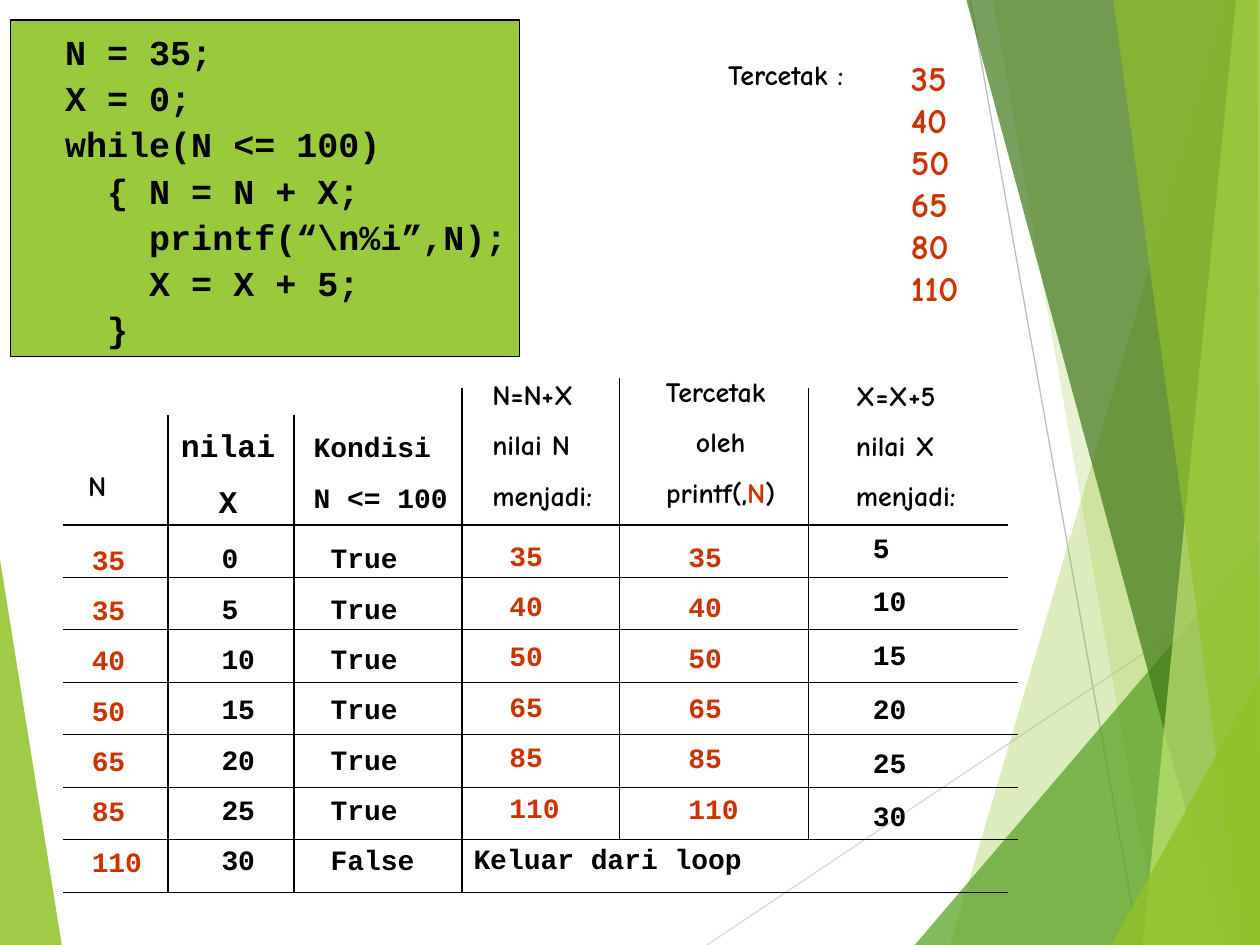
from typing import NamedTuple

from lxml import etree
from pptx import Presentation
from pptx.dml.color import RGBColor
from pptx.enum.shapes import MSO_CONNECTOR, MSO_SHAPE
from pptx.enum.text import MSO_ANCHOR, MSO_AUTO_SIZE, PP_ALIGN
from pptx.oxml.ns import qn
from pptx.util import Inches, Pt

LEFT, CENTER = PP_ALIGN.LEFT, PP_ALIGN.CENTER
TOP = MSO_ANCHOR.TOP
FIT_SHAPE = MSO_AUTO_SIZE.SHAPE_TO_FIT_TEXT
STRAIGHT = MSO_CONNECTOR.STRAIGHT
RECTANGLE = MSO_SHAPE.RECTANGLE

# The slide is a grid of 100 columns by 75 rows, each cell a square.
COLUMNS, ROWS = 100, 75
CELL = Inches(10) // COLUMNS

MONO, HAND = "Courier New", "Comic Neue"
COLORS = {
    "black": "000000",
    "red": "CC3300",
    "code": "99CA3C",
    "lime": "90C226",
    "green": "54A021",
    "forest": "3F7819",
    "pale": "C0E474",
    "gray": "BFBFBF",
    "silver": "D9D9D9",
}


class Facet(NamedTuple):
    color: str
    opacity: int
    points: list[tuple[float, float]]


class Rule(NamedTuple):
    start: tuple[float, float]
    end: tuple[float, float]
    color: str = "black"


class Box(NamedTuple):
    left: float
    top: float
    width: float
    height: float


class TraceColumn(NamedTuple):
    box: Box
    values: list[str]
    color: str = "black"
    spacing: float = 1.5


LEFT_FACET = Facet("lime", 85, [(0, 44.4), (4.9, 75), (0, 75)])
RIGHT_FACETS = [
    Facet("lime", 30, [(97.5, 0), (75.4, 75), (100, 75), (100, 0)]),
    Facet("lime", 20, [(78.8, 0), (92, 75), (100, 75), (100, 0)]),
    Facet("green", 72, [(72.6, 75), (100, 42.9), (100, 75)]),
    Facet("forest", 70, [(76.7, 0), (97, 75), (100, 75), (100, 0)]),
    Facet("pale", 70, [(98.1, 0), (90.7, 75), (100, 75), (100, 0)]),
    Facet("lime", 65, [(88.35, 0), (98.6, 75), (100, 75), (99.8, 0)]),
    Facet("lime", 80, [(88.2, 75), (100, 53.7), (100, 75)]),
]
BACKDROP_RULES = [
    Rule((56.1, 75), (100, 45.7), "silver"),
    Rule((77, 0), (90.4, 75), "gray"),
]

TABLE_LEFT, TABLE_TOP, ROW_PITCH = 5, 41.66, 4.165
TABLE_BOTTOM = TABLE_TOP + 7 * ROW_PITCH
LAST_SPLIT = TABLE_TOP + 6 * ROW_PITCH
ROW_ENDS = [80, 80, 80.83, 80.83, 80.83, 80.83, 80.83, 80]
COLUMN_RULES = [  # x, top, bottom
    (13.33, 32.92, TABLE_BOTTOM),
    (23.33, 32.92, TABLE_BOTTOM),
    (36.66, 30.83, TABLE_BOTTOM),
    (49.16, 30, LAST_SPLIT),
    (64.16, 30.83, LAST_SPLIT),
]

CODE = [
    "  N = 35;",
    "  X = 0;",
    "  while(N <= 100)",
    "    { N = N + X;",
    "      printf(“\\n%i”,N);",
    "      X = X + 5;",
    "    }",
]
SUMS = ["35", "40", "50", "65", "85", "110"]
STEPS = ["5", "10", "15", "20", "25", "30"]
TRACE = [
    TraceColumn(Box(6.3, 41.2, 6.1, 29), ["35", *SUMS], "red"),
    TraceColumn(Box(16.6, 41.1, 4.8, 29), ["0", *STEPS]),
    TraceColumn(Box(25.25, 41.1, 8.8, 29), ["True"] * 6 + ["False"]),
    TraceColumn(Box(39.45, 40.9, 6.1, 25), SUMS, "red"),
    TraceColumn(Box(53.65, 41, 6.1, 25), SUMS, "red"),
    TraceColumn(Box(68.3, 40, 4.8, 26.6), STEPS, spacing=1.6),
]


def cells(*counts: float) -> list[int]:
    """Grid counts as EMU lengths."""
    return [round(count * CELL) for count in counts]


def rgb(name: str) -> RGBColor:
    return RGBColor.from_string(COLORS[name])


def draw_facet(slide, facet: Facet) -> None:
    start, *others = [tuple(cells(*point)) for point in facet.points]
    builder = slide.shapes.build_freeform(*start)
    builder.add_line_segments(others, close=True)
    shape = builder.convert_to_shape()
    shape.shadow.inherit = False
    shape.line.fill.background()
    shape.fill.solid()
    shape.fill.fore_color.rgb = rgb(facet.color)
    color = shape._element.spPr.find(f".//{qn('a:srgbClr')}")
    etree.SubElement(color, qn("a:alpha"), val=str(facet.opacity * 1000))


def draw_rule(slide, rule: Rule) -> None:
    line = slide.shapes.add_connector(STRAIGHT, *cells(*rule.start, *rule.end))
    line.line.color.rgb = rgb(rule.color)
    line.line.width = Pt(0.75)
    etree.SubElement(line._element.spPr, qn("a:effectLst"))


def write(slide, box: Box, lines: list, *, font: str = MONO, size: int = 16,
          color: str = "black", spacing: float = 1.0, align=LEFT, fill: str = "") -> None:
    """One paragraph per line; a line is a string or a list of (text, color)."""
    place = cells(*box)
    if fill:
        shape = slide.shapes.add_shape(RECTANGLE, *place)
        shape.shadow.inherit = False
        shape.fill.solid()
        shape.fill.fore_color.rgb = rgb(fill)
        shape.line.color.rgb = rgb("black")
        shape.line.width = Pt(0.75)
    else:
        shape = slide.shapes.add_textbox(*place)
    frame = shape.text_frame
    frame.word_wrap = False
    frame.auto_size = FIT_SHAPE
    frame.vertical_anchor = TOP
    for index, line in enumerate(lines):
        paragraph = frame.add_paragraph() if index else frame.paragraphs[0]
        paragraph.alignment = align
        paragraph.line_spacing = spacing
        for text, tint in [(line, color)] if isinstance(line, str) else line:
            run = paragraph.add_run()
            run.text = text
            run.font.name, run.font.size, run.font.bold = font, Pt(size), True
            run.font.color.rgb = rgb(tint)


def draw_headings(slide) -> None:
    printed = [("printf(,", "black"), ("N", "red"), (")", "black")]
    write(slide, Box(6, 36.7, 3.5, 3.7), ["N"], font=HAND)
    write(slide, Box(13.3, 31.8, 9.6, 10), ["nilai", "X"], size=18, spacing=1.5, align=CENTER)
    write(slide, Box(23.9, 32.3, 12.8, 9), ["Kondisi", "N <= 100"], spacing=1.5)
    write(slide, Box(38.1, 28.15, 10, 13), ["N=N+X", "nilai N", "menjadi:"],
          font=HAND, spacing=1.5)
    write(slide, Box(51.7, 27.9, 11, 13), ["Tercetak ", "oleh", printed],
          font=HAND, spacing=1.5, align=CENTER)
    write(slide, Box(66.95, 28.2, 10, 13), ["X=X+5", "nilai X", "menjadi:"],
          font=HAND, spacing=1.5)


def draw_trace(slide) -> None:
    for x, top, bottom in COLUMN_RULES:
        draw_rule(slide, Rule((x, top), (x, bottom)))
    for row, end in enumerate(ROW_ENDS):
        y = TABLE_TOP + row * ROW_PITCH
        draw_rule(slide, Rule((TABLE_LEFT, y), (end, y)))
    draw_headings(slide)
    for column in TRACE:
        write(slide, column.box, column.values, color=column.color, spacing=column.spacing)
    write(slide, Box(36.6, 65, 23.5, 5), ["Keluar dari loop"], spacing=1.5)


def main() -> None:
    deck = Presentation()
    deck.slide_width, deck.slide_height = cells(COLUMNS, ROWS)
    slide = deck.slides.add_slide(deck.slide_layouts[6])
    draw_facet(slide, LEFT_FACET)
    for rule in BACKDROP_RULES:
        draw_rule(slide, rule)
    for facet in RIGHT_FACETS:
        draw_facet(slide, facet)
    draw_trace(slide)
    write(slide, Box(56.8, 4.05, 11.5, 3.7), ["Tercetak :"], font=HAND)
    write(slide, Box(71.3, 4, 5.9, 21), ["35", "40", "50", "65", "80", "110"],
          font=HAND, size=20, color="red")
    write(slide, Box(0.85, 1.6, 40.4, 26.7), CODE, size=20, spacing=1.1, fill="code")
    deck.save("out.pptx")


if __name__ == "__main__":
    main()
